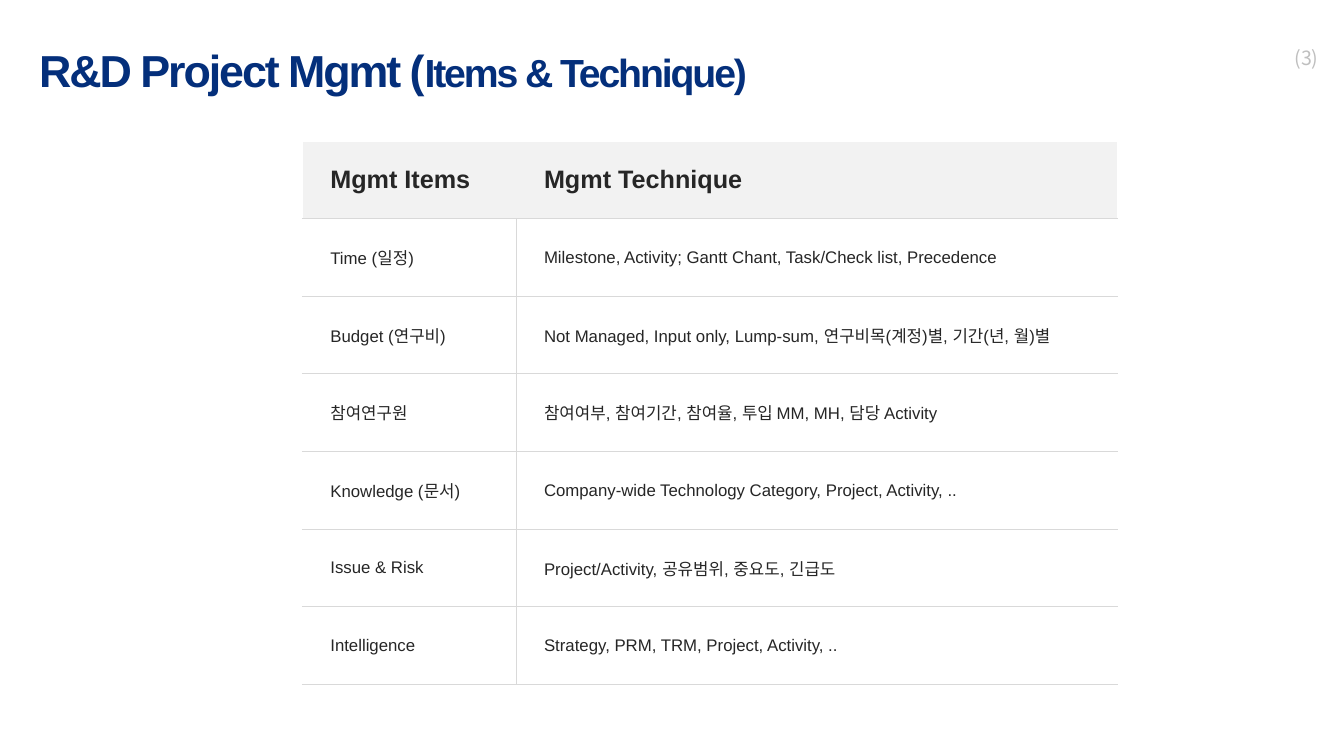
from dataclasses import dataclass

from lxml.etree import SubElement
from pptx import Presentation
from pptx.dml.color import RGBColor
from pptx.enum.text import MSO_ANCHOR as Anchor, MSO_AUTO_SIZE as AutoSize, PP_ALIGN as Align
from pptx.oxml.ns import qn
from pptx.util import Pt

LATIN, KOREAN = "Arial", "Noto Sans CJK KR"
NAVY, INK, GREY = "042F7B", "262626", "BFBFBF"
WHITE, HEADER_FILL, RULE = "FFFFFF", "F2F2F2", "D9D9D9"
ROW_HEIGHT = 55.44
COLUMN_WIDTHS = (152.64, 429.84)
CELL_FORMAT = {
    "margin_left": Pt(20), "margin_right": Pt(20),
    "margin_top": Pt(10.8), "margin_bottom": Pt(10.8),
    "vertical_anchor": Anchor.MIDDLE,
}


@dataclass(frozen=True)
class Style:
    size: float
    colour: str
    bold: bool = False
    face: str = LATIN
    spacing: float = 0


@dataclass(frozen=True)
class Box:
    left: float
    top: float
    width: float
    height: float
    pieces: tuple[tuple[str, Style], ...]
    align: Align
    frame_format: dict


@dataclass(frozen=True)
class Practice:
    item: str
    technique: str


HEADING = Style(18, INK, bold=True)
BODY = Style(12, INK)

BOXES = (
    Box(732.96, 26.64, 216, 28.8, (("(3)", Style(14, GREY, face=KOREAN)),), Align.RIGHT,
        {"word_wrap": True, "vertical_anchor": Anchor.MIDDLE}),
    Box(20.88, 26.64, 542.88, 46.08,
        (("R&D Project Mgmt (", Style(32, NAVY, bold=True, spacing=-1.5)),
         ("Items & Technique)", Style(28, NAVY, bold=True, spacing=-1.5))), Align.LEFT,
        {"word_wrap": False, "auto_size": AutoSize.SHAPE_TO_FIT_TEXT}),
)

PRACTICES = (
    Practice("Mgmt Items", "Mgmt Technique"),
    Practice("Time (일정)", "Milestone, Activity; Gantt Chant, Task/Check list, Precedence"),
    Practice("Budget (연구비)", "Not Managed, Input only, Lump-sum, 연구비목(계정)별, 기간(년, 월)별"),
    Practice("참여연구원", "참여여부, 참여기간, 참여율, 투입 MM, MH, 담당 Activity"),
    Practice("Knowledge (문서)", "Company-wide Technology Category, Project, Activity, .."),
    Practice("Issue & Risk", "Project/Activity, 공유범위, 중요도, 긴급도"),
    Practice("Intelligence", "Strategy, PRM, TRM, Project, Activity, .."),
)


def rgb(colour: str) -> RGBColor:
    return RGBColor.from_string(colour)


def apply(target, formats: dict) -> None:
    for name, value in formats.items():
        setattr(target, name, value)


def add_run(paragraph, text: str, style: Style) -> None:
    run = paragraph.add_run()
    run.text = text
    apply(run.font, {"size": Pt(style.size), "bold": style.bold, "name": style.face})
    run.font.color.rgb = rgb(style.colour)
    properties = run.font._element
    SubElement(properties, qn("a:ea"), typeface=KOREAN)
    if style.spacing:
        properties.set("spc", str(round(style.spacing * 100)))


def add_box(slide, box: Box) -> None:
    frame = slide.shapes.add_textbox(
        Pt(box.left), Pt(box.top), Pt(box.width), Pt(box.height)).text_frame
    apply(frame, box.frame_format)
    paragraph = frame.paragraphs[0]
    paragraph.alignment = box.align
    for text, style in box.pieces:
        add_run(paragraph, text, style)


def add_border(cell, side: str, colour: str | None) -> None:
    weight = Pt(1 if colour == WHITE else 0.75)
    line = SubElement(cell._tc.get_or_add_tcPr(), qn(f"a:ln{side}"), w=str(weight))
    if colour is None:
        SubElement(line, qn("a:noFill"))
    else:
        SubElement(SubElement(line, qn("a:solidFill")), qn("a:srgbClr"), val=colour)


def fill_cell(cell, text: str, is_header: bool, is_first: bool) -> None:
    apply(cell, CELL_FORMAT)
    divider = None if is_header else RULE
    borders = {
        "L": WHITE if is_first else divider,
        "R": divider if is_first else WHITE,
        "T": WHITE if is_header else RULE,
        "B": RULE,
    }
    for side, colour in borders.items():
        add_border(cell, side, colour)
    cell.fill.solid()
    cell.fill.fore_color.rgb = rgb(HEADER_FILL if is_header else WHITE)
    add_run(cell.text_frame.paragraphs[0], text, HEADING if is_header else BODY)


def add_practices(slide) -> None:
    table = slide.shapes.add_table(
        len(PRACTICES), len(COLUMN_WIDTHS), Pt(216), Pt(100.8),
        Pt(sum(COLUMN_WIDTHS)), Pt(ROW_HEIGHT * len(PRACTICES))).table
    apply(table, {"first_row": False, "horz_banding": False})
    for column, width in zip(table.columns, COLUMN_WIDTHS):
        column.width = Pt(width)
    for index, practice in enumerate(PRACTICES):
        table.rows[index].height = Pt(ROW_HEIGHT)
        for position, text in enumerate((practice.item, practice.technique)):
            fill_cell(table.cell(index, position), text, index == 0, position == 0)


def main() -> None:
    deck = Presentation()
    apply(deck, {"slide_width": Pt(960), "slide_height": Pt(540)})
    slide = deck.slides.add_slide(deck.slide_layouts[6])
    # Page number and title
    for box in BOXES:
        add_box(slide, box)
    # Items and techniques
    add_practices(slide)
    deck.save("out.pptx")


if __name__ == "__main__":
    main()
